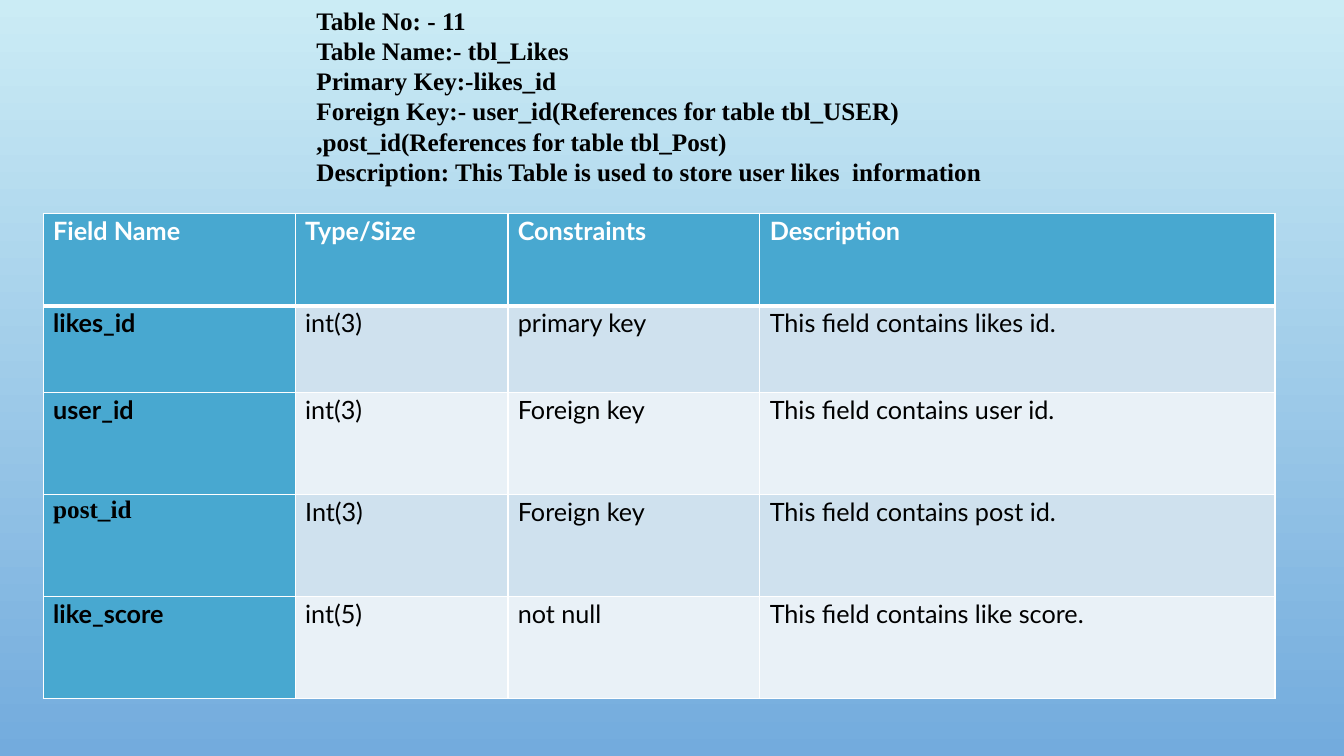
from lxml import etree
from pptx import Presentation
from pptx.dml.color import RGBColor
from pptx.enum.text import MSO_ANCHOR, MSO_AUTO_SIZE, PP_ALIGN
from pptx.oxml.ns import qn
from pptx.util import Cm, Pt

# Content
HEADING = [
    "Table No: - 11",
    "Table Name:- tbl_Likes",
    "Primary Key:-likes_id",
    "Foreign Key:- user_id(References for table tbl_USER)",
    ",post_id(References for table tbl_Post)",
    "Description: This Table is used to store user likes  information",
]
FIELDS = [
    ("Field Name", "Type/Size", "Constraints", "Description"),
    ("likes_id", "int(3)", "primary key", "This field contains likes id."),
    ("user_id", "int(3)", "Foreign key", "This field contains user id."),
    ("post_id", "Int(3)", "Foreign key", "This field contains post id."),
    ("like_score", "int(5)", "not null", "This field contains like score."),
]
COL_WIDTHS = (6.35, 5.36, 6.35, 12.98)
ROW_HEIGHTS = (2.34, 2.18, 2.57, 2.57, 2.57)

# Style
SANS, SERIF = "Lato", "Times New Roman"
BLACK = RGBColor(0x00, 0x00, 0x00)
WHITE = RGBColor(0xFF, 0xFF, 0xFF)
SKY_TOP = RGBColor(0xCB, 0xEC, 0xF5)
SKY_BOTTOM = RGBColor(0x73, 0xAB, 0xDD)
ACCENT = RGBColor(0x48, 0xA8, 0xD0)
BANDS = (RGBColor(0xCF, 0xE1, 0xEE), RGBColor(0xE9, 0xF1, 0xF7))


def write(p, text, font=SANS, color=BLACK, bold=False, align=None,
          spacing=1.0, after=0):
    p.alignment = align
    p.line_spacing = spacing
    p.space_after = Pt(after)
    r = p.add_run()
    r.text = text
    r.font.name = font
    r.font.size = Pt(18)
    r.font.bold = bold
    r.font.color.rgb = color


def set_borders(cell, **widths):
    """Draw white borders; widths in points by side tag."""
    tcPr = cell._tc.get_or_add_tcPr()
    for i, (side, width) in enumerate(widths.items()):
        ln = etree.Element(qn(f"a:{side}"), w=str(Pt(width)))
        fill = etree.SubElement(ln, qn("a:solidFill"))
        etree.SubElement(fill, qn("a:srgbClr"), val=str(WHITE))
        tcPr.insert(i, ln)


prs = Presentation()
prs.slide_width, prs.slide_height = Cm(33.87), Cm(19.05)
s = prs.slides.add_slide(prs.slide_layouts[5])

# Background gradient, top to bottom
bg = s.background.fill
bg.gradient()
bg.gradient_angle = 270
for stop, color in zip(bg.gradient_stops, (SKY_TOP, SKY_BOTTOM)):
    stop.color.rgb = color

# Heading
title = s.shapes.title
title.left, title.top, title.width, title.height = Cm(7.72), Cm(0), Cm(20.4), Cm(5.64)
tf = title.text_frame
tf.word_wrap = True
tf.auto_size = MSO_AUTO_SIZE.NONE
tf.vertical_anchor = MSO_ANCHOR.TOP
for i, line in enumerate(HEADING):
    p = tf.add_paragraph() if i else tf.paragraphs[0]
    write(p, line, font=SERIF, bold=True, align=PP_ALIGN.JUSTIFY)

# Field table
table = s.shapes.add_table(len(FIELDS), len(COL_WIDTHS), Cm(1.09), Cm(5.37),
                           Cm(sum(COL_WIDTHS)), Cm(sum(ROW_HEIGHTS))).table
for col, width in zip(table.columns, COL_WIDTHS):
    col.width = Cm(width)
for row, height in zip(table.rows, ROW_HEIGHTS):
    row.height = Cm(height)

for i, fields in enumerate(FIELDS):
    for j, text in enumerate(fields):
        cell = table.cell(i, j)
        is_header, is_key = i == 0, i == 0 or j == 0
        cell.margin_left = cell.margin_right = Cm(0.25)
        cell.margin_top = cell.margin_bottom = 0
        cell.fill.solid()
        cell.fill.fore_color.rgb = ACCENT if is_key else BANDS[(i - 1) % 2]
        set_borders(cell, lnL=1, lnR=1, lnT=3 if i == 1 else 1,
                    lnB=3 if is_header else 1)
        write(cell.text_frame.paragraphs[0], text,
              font=SERIF if text == "post_id" else SANS,
              color=WHITE if is_header else BLACK,
              bold=is_key, spacing=1.07, after=8)

prs.save("out.pptx")
